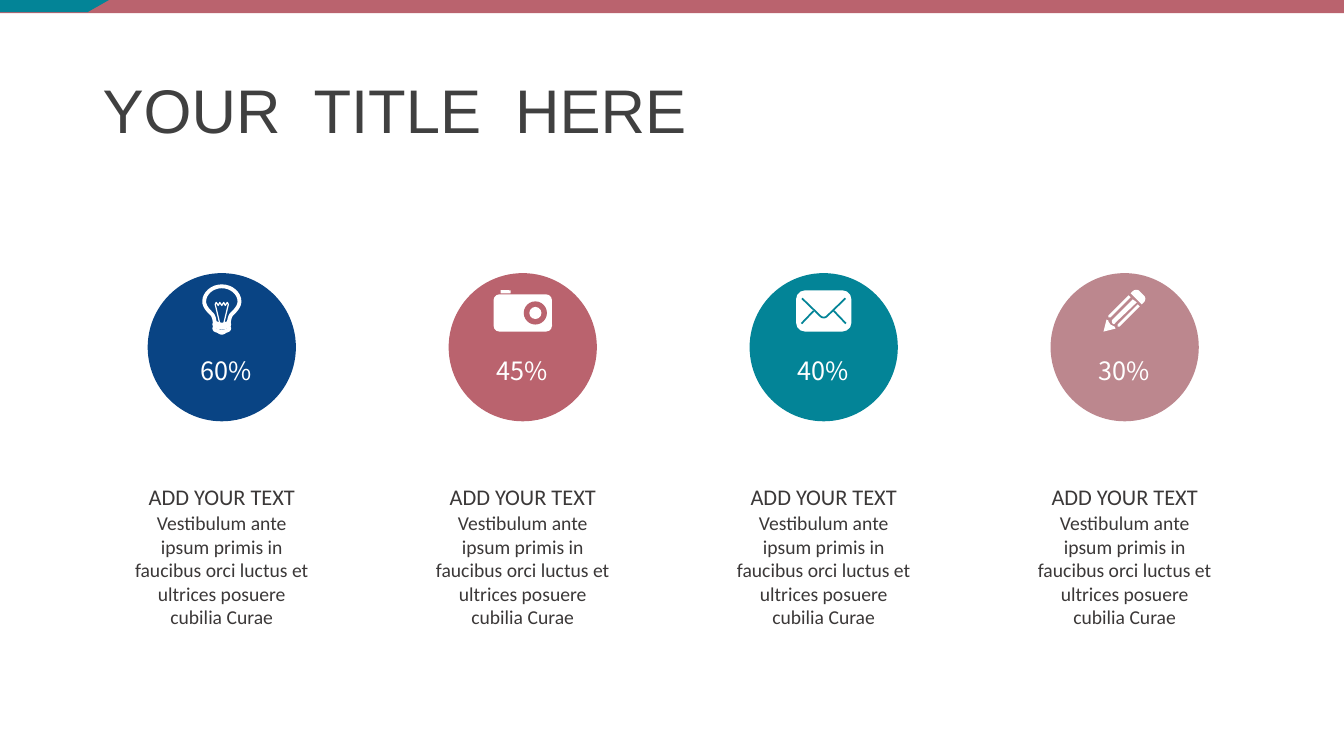
from dataclasses import dataclass

from lxml.etree import SubElement
from pptx import Presentation
from pptx.dml.color import RGBColor
from pptx.enum.shapes import MSO_SHAPE
from pptx.enum.text import MSO_ANCHOR, MSO_AUTO_SIZE, PP_ALIGN
from pptx.oxml.ns import qn
from pptx.util import Inches, Pt


@dataclass(frozen=True)
class Theme:
    blue: str = "094484"
    rose: str = "BA636E"
    teal: str = "038497"
    mauve: str = "BC878E"
    white: str = "FFFFFF"
    title: str = "404040"
    body: str = "3B3838"
    title_font: str = "Arial"
    body_font: str = "Calibri"
    number_font: str = "Noto Sans CJK SC"
    title_size: int = 44
    number_size: int = 18
    heading_size: int = 16
    body_size: int = 14


THEME = Theme()
WIDTH, HEIGHT = 13.33, 7.5
FIRST_CENTER, COLUMN = 2.2, 2.985
CIRCLE_TOP, CIRCLE_SIZE = 2.71, 1.47
ICON_CENTER = 3.08
TEXT_WIDTH = 1.98
ICON_UNIT = 0.01
HEADING = "ADD YOUR TEXT"
BODY = "Vestibulum ante ipsum primis in faucibus orci luctus et ultrices posuere cubilia Curae"


def assign(target, values):
    for name, value in values.items():
        setattr(target, name, value)


def paint(shape, fill=None, line=None, weight=1):
    if fill:
        shape.fill.solid()
        shape.fill.fore_color.rgb = RGBColor.from_string(fill)
    else:
        shape.fill.background()
    if line:
        shape.line.color.rgb = RGBColor.from_string(line)
        shape.line.width = Pt(weight)
    else:
        shape.line.fill.background()
    shape.shadow.inherit = False


def add_preset(page, kind, area, color, radius=None):
    shape = page.shapes.add_shape(kind, *map(Inches, area))
    paint(shape, color)
    if radius is not None:
        shape.adjustments[0] = radius
    return shape


def add_text(page, area, text, font, size, color, paragraph=None, frame=None):
    box = page.shapes.add_textbox(*map(Inches, area))
    assign(box.text_frame, {"word_wrap": True, "auto_size": MSO_AUTO_SIZE.SHAPE_TO_FIT_TEXT, **(frame or {})})
    para = box.text_frame.paragraphs[0]
    assign(para, paragraph or {})
    span = para.add_run()
    span.text = text
    assign(span.font, {"name": font, "size": Pt(size)})
    span.font.color.rgb = RGBColor.from_string(color)


def flatten(outline, steps=8):
    points = []
    for item in outline:
        if len(item) == 2:
            points.append(item)
            continue
        corners = [points[-1], item[:2], item[2:4], item[4:]]
        for step in range(1, steps + 1):
            t = step / steps
            shares = ((1 - t) ** 3, 3 * t * (1 - t) ** 2, 3 * t * t * (1 - t), t ** 3)
            points.append(tuple(sum(s * c[axis] for s, c in zip(shares, corners)) for axis in (0, 1)))
    return points


def mirror(outline):
    points = flatten(outline)
    return points + [(-x, y) for x, y in reversed(points)]


def add_outline(page, center, outlines, closed=True, unit=ICON_UNIT, **style):
    builder = None
    for outline in outlines:
        points = [tuple(Inches(c + unit * v) for c, v in zip(center, point)) for point in flatten(outline)]
        if builder is None:
            builder = page.shapes.build_freeform(*points[0])
        else:
            builder.move_to(*points[0])
        builder.add_line_segments(points[1:], close=closed)
    paint(builder.convert_to_shape(), **style)


def icon_area(center, left, top, width, height):
    return (center[0] + left * ICON_UNIT, center[1] + top * ICON_UNIT, width * ICON_UNIT, height * ICON_UNIT)


def draw_bulb(page, center, color):
    glass = [(0, -24), (-9.5, -24, -17.5, -17, -17.5, -9), (-17.5, -4, -13.5, 0, -10.5, 3),
             (-7.5, 5, -7, 12, -7, 12), (-7, 12, -3, 14, 0, 14)]
    add_outline(page, center, [mirror(glass[::1])], line=THEME.white, weight=2.75)
    bands = [mirror([(-6.5, y), (-7.5, y + 1, -7.5, y + 2, -7, y + 3), (-6.5, y + 3.5, -3, y + 5, 0, y + 5)])
             for y in (12, 16)]
    add_outline(page, center, bands, closed=False, line=THEME.white, weight=2.75)
    add_outline(page, center, [mirror([(-4.5, 22), (-4.5, 22, -2.5, 24, 0, 24)])], fill=THEME.white)
    filament = mirror([(-2, 13), (-6.5, -6), (-5.5, -8), (-3.5, -5), (-2, -8), (0, -5)])
    add_outline(page, center, [filament], closed=False, line=THEME.white, weight=0.88)


def draw_camera(page, center, color):
    for kind, area, fill, radius in (
        (MSO_SHAPE.ROUNDED_RECTANGLE, (-29, -16, 58, 37), THEME.white, 0.16),
        (MSO_SHAPE.ROUNDED_RECTANGLE, (-22, -20, 10, 3), THEME.white, 0.1),
        (MSO_SHAPE.OVAL, (1, -9, 23, 23), color, None),
        (MSO_SHAPE.OVAL, (6.5, -3.5, 12, 12), THEME.white, None),
    ):
        add_preset(page, kind, icon_area(center, *area), fill, radius)


def draw_envelope(page, center, color):
    add_preset(page, MSO_SHAPE.ROUNDED_RECTANGLE, icon_area(center, -27.5, -20, 55, 41), THEME.white, 0.22)
    flap = mirror([(-21.5, -12), (-4, 5), (-2, 7, -1, 7, 0, 7)])
    folds = [[(side * 22, 13), (side * 10, 0.5)] for side in (-1, 1)]
    add_outline(page, center, [flap, *folds], closed=False, line=color, weight=1.25)


def draw_pencil(page, center, color):
    eraser = [(19, -8), (17, -6), (6, -17), (8, -19), (10, -21, 13, -21, 15, -19),
              (19, -15), (21, -13, 21, -10, 19, -8)]
    lower = [(-7, 14), (-7, 16), (-5, 16), (15, -4), (13, -6)]
    upper = [(-16, 5), (-16, 7), (-14, 7), (6, -13), (4, -15)]
    middle = [(8, -11), (-12, 9), (-13, 10, -13, 11, -12, 13), (-11, 14, -10, 14, -9, 12), (12, -8)]
    tip = [(-9, 18), (-10, 16), (-14, 14), (-16, 11), (-16, 10), (-18, 9), (-21, 21)]
    add_outline(page, center, [eraser, lower, upper, middle, tip], fill=THEME.white)


def add_header(page):
    add_preset(page, MSO_SHAPE.RECTANGLE, (0, 0, WIDTH, 0.13), THEME.rose)
    add_outline(page, (0, 0), [[(0, 0), (1.08, 0), (0.87, 0.12), (0, 0.12)]], unit=1, fill=THEME.teal)
    add_text(page, (0.92, 0.4, 11.5, 1.45), "YOUR  TITLE  HERE", THEME.title_font, THEME.title_size, THEME.title,
             {"line_spacing": 0.9}, {"vertical_anchor": MSO_ANCHOR.MIDDLE, "auto_size": MSO_AUTO_SIZE.NONE})


def add_column(page, index, number, color, draw_icon, number_left):
    center = FIRST_CENTER + index * COLUMN
    add_preset(page, MSO_SHAPE.OVAL, (center - CIRCLE_SIZE / 2, CIRCLE_TOP, CIRCLE_SIZE, CIRCLE_SIZE), color)
    for top, height, text, size in ((5.02, 1.28, BODY, THEME.body_size), (4.74, 0.37, HEADING, THEME.heading_size)):
        add_text(page, (center - TEXT_WIDTH / 2, top, TEXT_WIDTH, height), text, THEME.body_font, size,
                 THEME.body, {"alignment": PP_ALIGN.CENTER})
    draw_icon(page, (center, ICON_CENTER), color)
    add_text(page, (center + number_left, 3.48, 0.72, 0.4), number, THEME.number_font, THEME.number_size,
             THEME.white, frame={"word_wrap": False})


def main():
    deck = Presentation()
    assign(deck, {"slide_width": Inches(WIDTH), "slide_height": Inches(HEIGHT)})
    page = deck.slides.add_slide(deck.slide_layouts[6])
    add_header(page)
    columns = (
        ("60%", THEME.blue, draw_bulb, -0.31),
        ("45%", THEME.rose, draw_camera, -0.36),
        ("40%", THEME.teal, draw_envelope, -0.36),
        ("30%", THEME.mauve, draw_pencil, -0.36),
    )
    for index, column in enumerate(columns):
        add_column(page, index, *column)
    deck.save("out.pptx")


if __name__ == "__main__":
    main()
